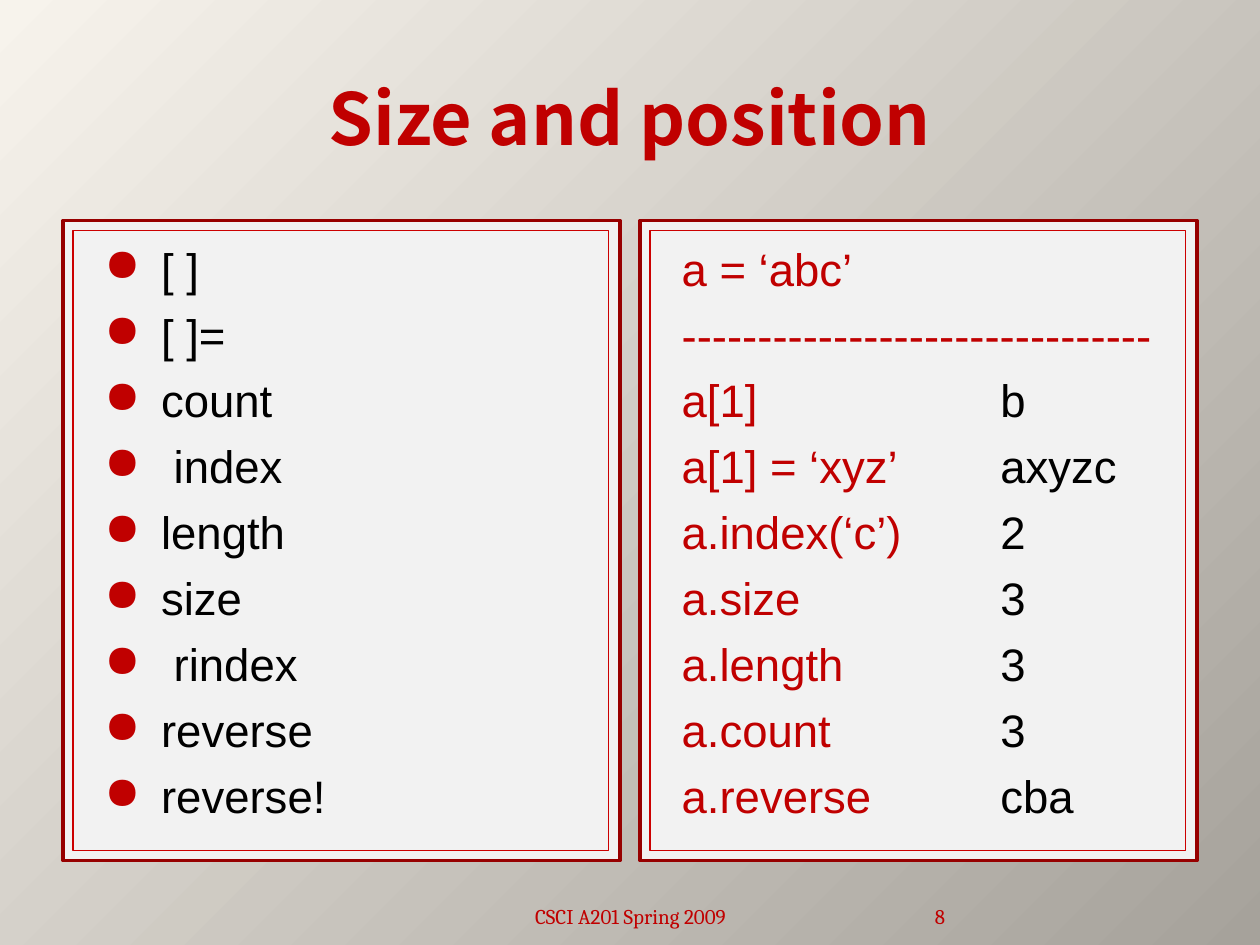
from lxml import etree
from pptx import Presentation, util as u
from pptx.dml.color import RGBColor
from pptx.enum import shapes, text
from pptx.oxml import ns

RED, BLACK, PANEL = "C00000", "000000", "F2F2F2"
CODE = {"name": "Arial", "size": u.Pt(26)}
TITLE = {"name": "Noto Sans CJK SC", "size": u.Pt(41), "bold": True}
FOOTER = {"name": "Cambria", "size": u.Pt(12)}
METHODS = ["[ ]", "[ ]=", "count", " index", "length", "size", " rindex",
           "reverse", "reverse!"]
EXAMPLES = [("a = ‘abc’", ""), ("-" * 31, ""), ("a[1]", "b"),
            ("a[1] = ‘xyz’", "axyzc"), ("a.index(‘c’)", "2"),
            ("a.size", "3"), ("a.length", "3"), ("a.count", "3"),
            ("a.reverse", "cba")]


def colour(value):
    return RGBColor.from_string(value)


def add_element(parent, tag, **attributes):
    return etree.SubElement(parent, ns.qn(tag), attributes)


class SlideBuilder:
    """Holds the style and the current slide, and draws each kind of element."""

    def __init__(self, page):
        self.page = page

    def background(self, start, end):
        fill = self.page.background.fill
        fill.gradient()
        fill.gradient_angle = 315
        for stop, value in zip(fill.gradient_stops, (start, end)):
            stop.color.rgb = colour(value)

    def panel(self, left, top, width, height, line, weight):
        box = self.page.shapes.add_shape(
            shapes.MSO_SHAPE.RECTANGLE, *map(u.Inches, (left, top, width, height)))
        box.shadow.inherit = False
        box.fill.solid()
        box.fill.fore_color.rgb = colour(PANEL)
        box.line.color.rgb = colour(line)
        box.line.width = u.Pt(weight)
        return box

    def framed_panel(self, left):
        self.panel(left, 1.75, 4.42, 5.08, "970000", 2)
        return self.panel(left + 0.08, 1.83, 4.25, 4.92, "CC0000", 0.75)

    def frame(self, box, anchor, side=0.1, top=0.05):
        frame = box.text_frame
        values = {"word_wrap": True, "vertical_anchor": anchor,
                  "margin_left": u.Inches(side), "margin_right": u.Inches(min(side, 0.1)),
                  "margin_top": u.Inches(top), "margin_bottom": u.Inches(0.05)}
        for name, value in values.items():
            setattr(frame, name, value)
        return frame

    def span(self, para, words, style, ink):
        span = para.add_run()
        span.text = words
        for name, value in style.items():
            setattr(span.font, name, value)
        span.font.color.rgb = colour(ink)

    def label(self, words, place, style, anchor, align, side=0.1):
        box = self.page.shapes.add_textbox(*map(u.Inches, place))
        para = self.frame(box, anchor, side).paragraphs[0]
        para.alignment = align
        self.span(para, words, style, RED)

    def lines(self, frame, count):
        for index in range(count):
            para = frame.add_paragraph() if index else frame.paragraphs[0]
            para.alignment = text.PP_ALIGN.LEFT
            if index:
                para.space_before = u.Pt(6.5)
            yield para

    def bullets(self, left, items):
        frame = self.frame(self.framed_panel(left), text.MSO_ANCHOR.TOP, top=0.08)
        for para, words in zip(self.lines(frame, len(items)), items):
            props = para._p.get_or_add_pPr()
            props.set("marL", str(u.Inches(0.6)))
            props.set("indent", str(u.Inches(-0.45)))
            add_element(add_element(props, "a:buClr"), "a:srgbClr", val=RED)
            add_element(props, "a:buChar", char="●")
            self.span(para, words, CODE, BLACK)

    def results(self, left, rows):
        frame = self.frame(self.framed_panel(left), text.MSO_ANCHOR.TOP, 0.25, 0.08)
        for para, (call, result) in zip(self.lines(frame, len(rows)), rows):
            if result:
                stops = add_element(para._p.get_or_add_pPr(), "a:tabLst")
                add_element(stops, "a:tab", pos=str(u.Inches(2.53)), algn="l")
                self.span(para, call + "\t", CODE, RED)
                self.span(para, result, CODE, BLACK)
            else:
                self.span(para, call, CODE, RED)


def main():
    deck = Presentation()
    deck.slide_width, deck.slide_height = u.Inches(10), u.Inches(7.5)
    builder = SlideBuilder(deck.slides.add_slide(deck.slide_layouts[6]))
    anchor, align = text.MSO_ANCHOR, text.PP_ALIGN
    builder.background("F7F3EC", "A6A29B")
    builder.label("Size and position", (0.5, 0.3, 9, 1.25), TITLE,
                  anchor.MIDDLE, align.CENTER)
    builder.bullets(0.5, METHODS)
    builder.results(5.08, EXAMPLES)
    builder.label("CSCI A201 Spring 2009", (3.42, 7.02, 3.17, 0.4), FOOTER,
                  anchor.BOTTOM, align.CENTER)
    builder.label("8", (6.67, 7.02, 0.83, 0.4), FOOTER,
                  anchor.BOTTOM, align.RIGHT, side=0)
    deck.save("out.pptx")


if __name__ == "__main__":
    main()
